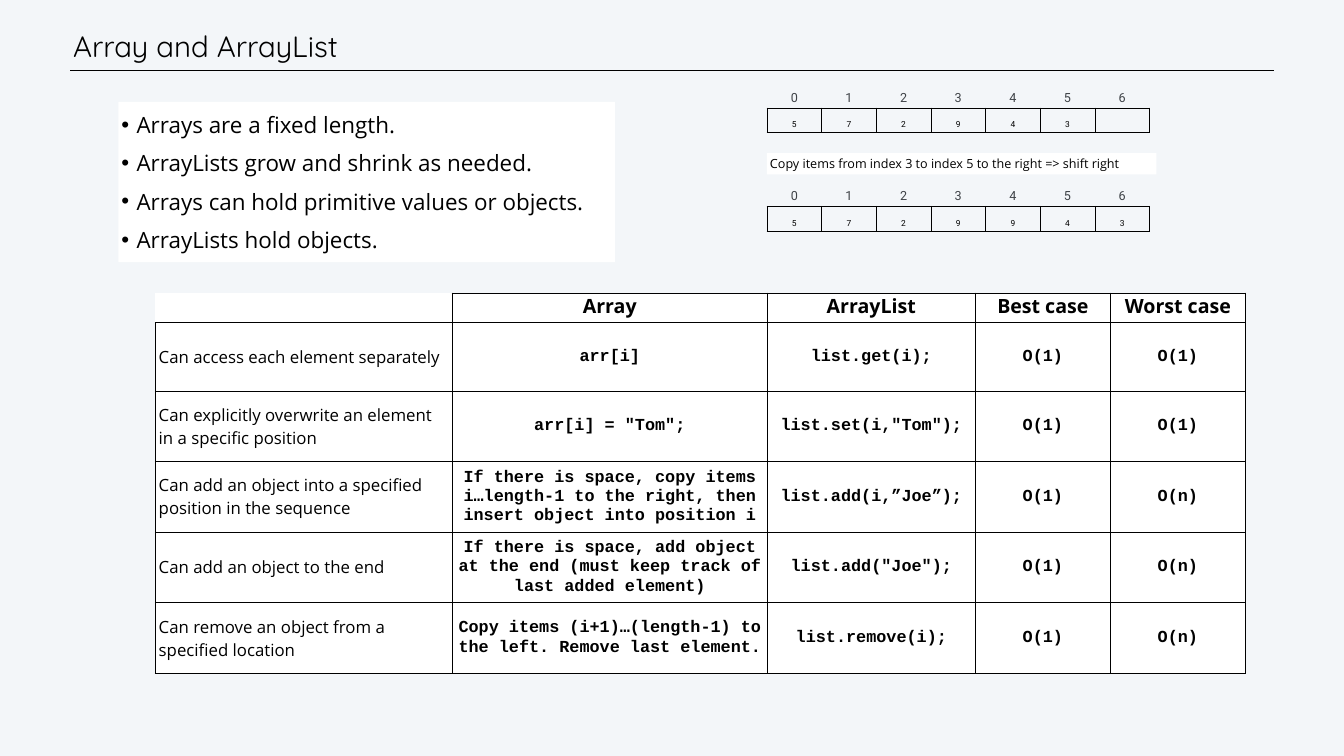
from dataclasses import dataclass

from lxml.etree import SubElement
from pptx import Presentation
from pptx.dml.color import RGBColor
from pptx.enum.shapes import MSO_CONNECTOR
from pptx.enum.text import MSO_ANCHOR, MSO_AUTO_SIZE, PP_ALIGN
from pptx.oxml.ns import qn
from pptx.util import Inches, Pt

COLORS = {"background": "F3F6F9", "white": "FFFFFF", "black": "000000", "index": "3E4247"}
SIDES = "LRTB"


@dataclass
class Style:
    font: str
    size: float
    color: str = "black"
    bold: bool = False


@dataclass
class ArrayDiagram:
    top: float
    values: list[str]


TITLE = Style("Quicksand", 42)
BULLET = Style("Open Sans", 32)
CAPTION = Style("Open Sans", 18)
HEADER = Style("Open Sans", 28, bold=True)
LABEL = Style("Open Sans", 24)
CODE = Style("Courier New", 24, bold=True)
INDEX = Style("Roboto", 18, "index")
VALUE = Style("Roboto", 12)

BULLETS = [
    "Arrays are a fixed length.",
    "ArrayLists grow and shrink as needed.",
    "Arrays can hold primitive values or objects.",
    "ArrayLists hold objects.",
]
DIAGRAMS = [
    ArrayDiagram(1.65, ["5", "7", "2", "9", "4", "3", ""]),
    ArrayDiagram(3.6, ["5", "7", "2", "9", "9", "4", "3"]),
]
COMPARISON = [
    ["", "Array", "ArrayList", "Best case", "Worst case"],
    ["Can access each element separately", "arr[i]", "list.get(i);", "O(1)", "O(1)"],
    ["Can explicitly overwrite an element in a specific position",
     'arr[i] = "Tom";', 'list.set(i,"Tom");', "O(1)", "O(1)"],
    ["Can add an object into a specified position in the sequence",
     "If there is space, copy items i…length-1 to the right, then insert object into position i",
     "list.add(i,”Joe”);", "O(1)", "O(n)"],
    ["Can add an object to the end",
     "If there is space, add object at the end (must keep track of last added element)",
     'list.add("Joe");', "O(1)", "O(n)"],
    ["Can remove an object from a specified location",
     "Copy items (i+1)…(length-1) to the left. Remove last element.",
     "list.remove(i);", "O(1)", "O(n)"],
]


def rgb(name: str) -> RGBColor:
    return RGBColor.from_string(COLORS[name])


def add_run(p, text: str, style: Style) -> None:
    r = p.add_run()
    r.text = text
    r.font.name = style.font
    r.font.size = Pt(style.size)
    r.font.bold = style.bold
    r.font.color.rgb = rgb(style.color)


def place(sp, left: float, top: float, width: float, height: float) -> None:
    sp.left, sp.top = Inches(left), Inches(top)
    sp.width, sp.height = Inches(width), Inches(height)


def prepare_frame(tf, wrap: bool = True) -> None:
    tf.word_wrap = wrap
    tf.auto_size = MSO_AUTO_SIZE.NONE
    tf.vertical_anchor = MSO_ANCHOR.MIDDLE
    tf.margin_left = tf.margin_right = tf.margin_top = tf.margin_bottom = Inches(0.06)


def set_borders(cell, visible: str) -> None:
    """Draw black lines on the given sides and clear the others."""
    tc_pr = cell._tc.get_or_add_tcPr()
    for side in SIDES:
        ln = SubElement(tc_pr, qn(f"a:ln{side}"), w=str(Pt(1)))
        if side in visible:
            fill = SubElement(ln, qn("a:solidFill"))
            SubElement(fill, qn("a:srgbClr"), val=COLORS["black"])
        else:
            SubElement(ln, qn("a:noFill"))


def add_grid(s, left: float, top: float, widths: list[float], heights: list[float]):
    frame = s.shapes.add_table(len(heights), len(widths), Inches(left), Inches(top),
                               Inches(sum(widths)), Inches(sum(heights)))
    table = frame.table
    table.first_row = table.horz_banding = False
    for column, width in zip(table.columns, widths):
        column.width = Inches(width)
    for row, height in zip(table.rows, heights):
        row.height = Inches(height)
    return table


def fill_cell(cell, text: str, style: Style, borders: str, anchor, align) -> None:
    set_borders(cell, borders)
    cell.vertical_anchor = anchor
    p = cell.text_frame.paragraphs[0]
    p.alignment = align
    if text:
        add_run(p, text, style)


def add_title(s) -> None:
    sp = s.shapes.title
    place(sp, 1.39, 0.42, 22.62, 0.99)
    prepare_frame(sp.text_frame)
    p = sp.text_frame.paragraphs[0]
    p.alignment = PP_ALIGN.LEFT
    p.line_spacing = Pt(50)
    add_run(p, "Array and ArrayList", TITLE)

    rule = s.shapes.add_connector(MSO_CONNECTOR.STRAIGHT, Inches(1.39), Inches(1.4),
                                  Inches(25.28), Inches(1.4))
    rule.line.color.rgb = rgb("black")
    rule.line.width = Pt(1)
    SubElement(rule._element.spPr, qn("a:effectLst"))


def add_bullets(s) -> None:
    sp = s.placeholders[1]
    place(sp, 2.35, 2.02, 9.85, 3.18)
    sp.fill.solid()
    sp.fill.fore_color.rgb = rgb("white")
    tf = sp.text_frame
    prepare_frame(tf)
    for i, text in enumerate(BULLETS):
        p = tf.add_paragraph() if i else tf.paragraphs[0]
        p_pr = p._p.get_or_add_pPr()
        p_pr.set("marL", str(Inches(0.3)))
        p_pr.set("indent", str(-Inches(0.3)))
        SubElement(p_pr, qn("a:buFont"), typeface="Arial")
        SubElement(p_pr, qn("a:buChar"), char="•")
        p.space_before = Pt(16.4 if i else 0)
        add_run(p, text, BULLET)


def add_comparison(s) -> None:
    table = add_grid(s, 3.08, 5.81, [5.89, 6.26, 4.12, 2.69, 2.67], [0.59, 1.36] + [1.4] * 4)
    for i, row in enumerate(COMPARISON):
        for j, text in enumerate(row):
            cell = table.cell(i, j)
            cell.margin_left = cell.margin_right = Inches(0.07)
            cell.margin_top = cell.margin_bottom = 0
            style = HEADER if i == 0 else LABEL if j == 0 else CODE
            fill_cell(cell, text, style, SIDES if i or j else "RB",
                      MSO_ANCHOR.MIDDLE if i else MSO_ANCHOR.TOP,
                      PP_ALIGN.CENTER if j else PP_ALIGN.LEFT)
            cell.fill.solid()
            cell.fill.fore_color.rgb = rgb("white")


def add_array(s, diagram: ArrayDiagram) -> None:
    count = len(diagram.values)
    table = add_grid(s, 15.22, diagram.top, [7.59 / count] * count, [0.49] * 2)
    for j, value in enumerate(diagram.values):
        for i, (text, style, borders) in enumerate([(str(j), INDEX, "B"), (value, VALUE, SIDES)]):
            cell = table.cell(i, j)
            fill_cell(cell, text, style, borders, MSO_ANCHOR.BOTTOM, PP_ALIGN.CENTER)
            cell.fill.background()


def add_caption(s) -> None:
    sp = s.shapes.add_textbox(Inches(15.22), Inches(3.04), Inches(7.73), Inches(0.42))
    sp.fill.solid()
    sp.fill.fore_color.rgb = rgb("white")
    prepare_frame(sp.text_frame)
    add_run(sp.text_frame.paragraphs[0],
            "Copy items from index 3 to index 5 to the right => shift right", CAPTION)


def main() -> None:
    prs = Presentation()
    prs.slide_width, prs.slide_height = Inches(26.67), Inches(15)
    s = prs.slides.add_slide(prs.slide_layouts[1])
    s.background.fill.solid()
    s.background.fill.fore_color.rgb = rgb("background")
    add_title(s)
    add_bullets(s)
    add_comparison(s)
    for diagram in DIAGRAMS:
        add_array(s, diagram)
    add_caption(s)
    prs.save("out.pptx")


if __name__ == "__main__":
    main()
